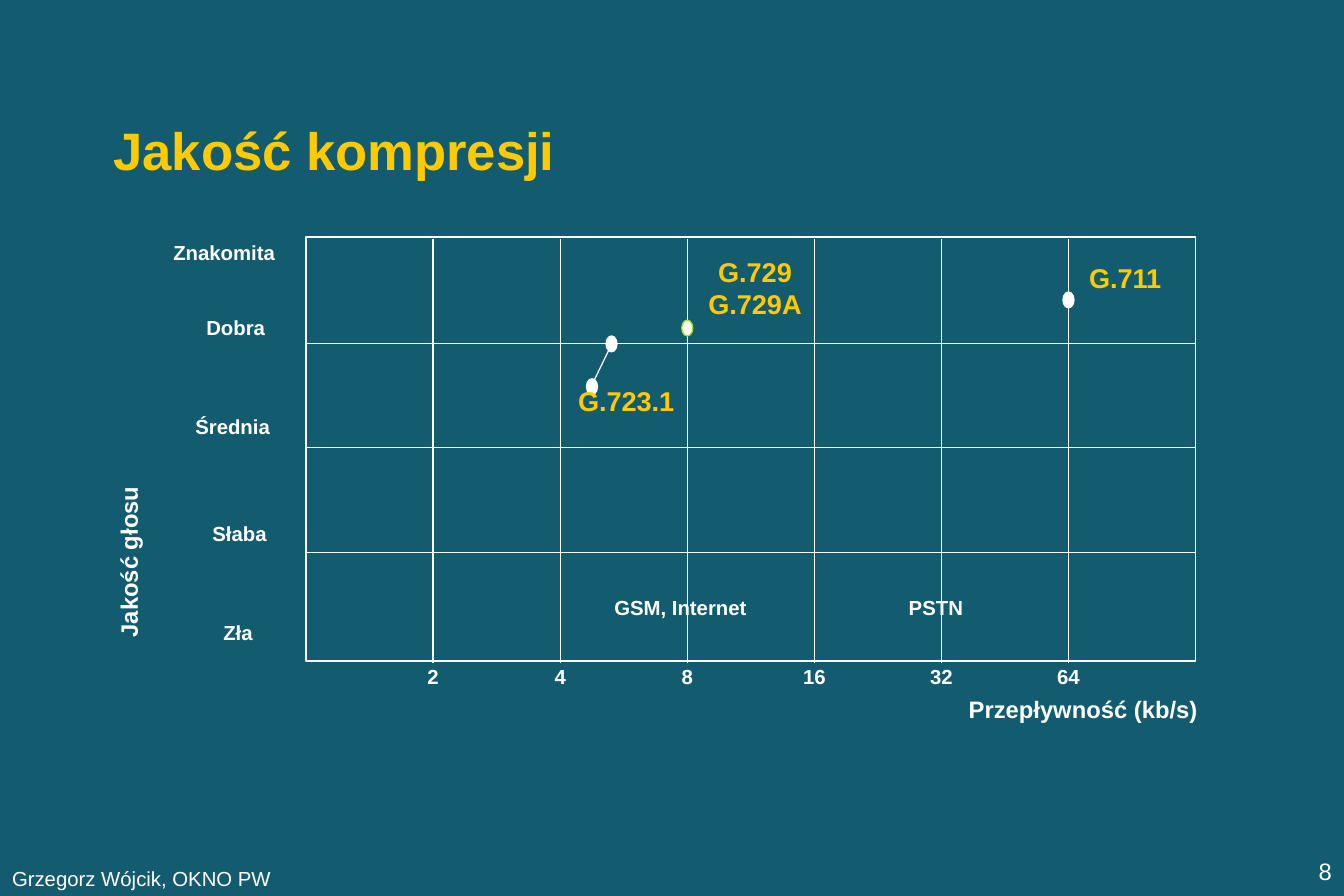
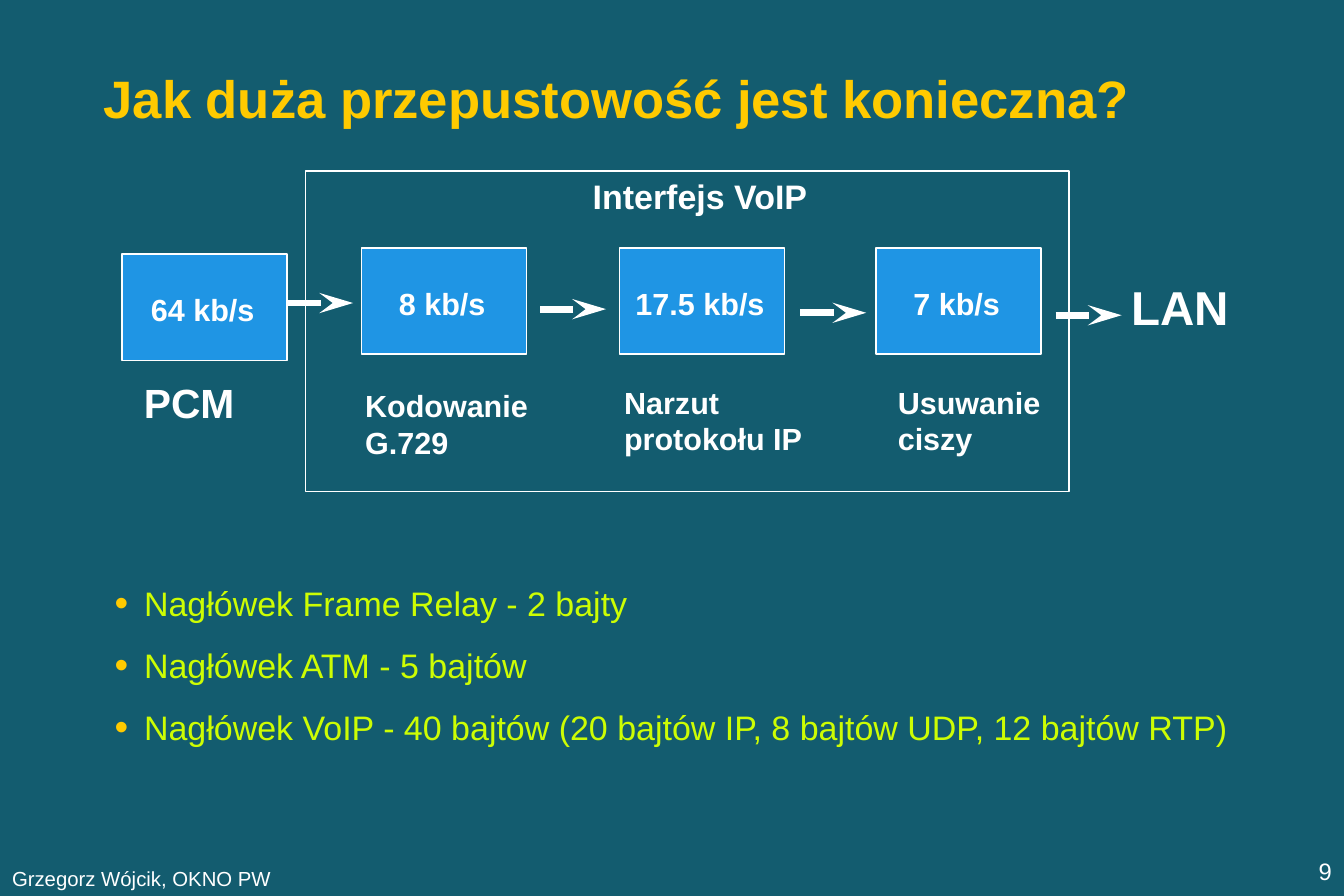
from lxml.etree import SubElement
from pptx import Presentation
from pptx.dml.color import RGBColor
from pptx.enum.shapes import MSO_CONNECTOR, MSO_SHAPE
from pptx.enum.text import MSO_ANCHOR, MSO_AUTO_SIZE, PP_ALIGN
from pptx.oxml.ns import qn
from pptx.util import Inches, Pt

COLUMNS, ROWS = 110, 73.33
CELL = Inches(0.1)
FONT = "Arial"
COLORS = {
    "background": "135C6F",
    "white": "FFFFFF",
    "yellow": "FFCA00",
    "lime": "CDFD03",
    "green": "ABDE2A",
    "blue": "1F95E4",
}
AUTHOR = "Grzegorz Wójcik, OKNO PW"


def cells(*lengths):
    """Turn grid columns or rows into slide units."""
    return [round(length * CELL) for length in lengths]


def rgb(name):
    return RGBColor.from_string(COLORS[name])


class Deck:
    """Holds the shared style and the current slide; boxes are (left, top, width, height) in cells."""

    def __init__(self):
        self.presentation = Presentation()
        self.presentation.slide_width, self.presentation.slide_height = cells(COLUMNS, ROWS)
        self.slide = None

    def new_slide(self, number, title, title_box):
        self.slide = self.presentation.slides.add_slide(self.presentation.slide_layouts[6])
        fill = self.slide.background.fill
        fill.solid()
        fill.fore_color.rgb = rgb("background")
        self.text(AUTHOR, (0, 70.4, 23.2, 2.9), bold=False, anchor=MSO_ANCHOR.MIDDLE)
        self.text(str(number), (90, 69.6, 20, 3.4), 14, bold=False, align=PP_ALIGN.RIGHT,
                  anchor=MSO_ANCHOR.MIDDLE, wrap=True)
        heading = self.text(title, title_box, 31, "yellow", anchor=MSO_ANCHOR.MIDDLE)
        heading.text_frame.paragraphs[0].line_spacing = 0.95

    def format_text(self, shape, size, color, bold, align):
        for paragraph in shape.text_frame.paragraphs:
            paragraph.alignment = align
            for run in paragraph.runs:
                run.font.name = FONT
                run.font.size = Pt(size)
                run.font.bold = bold
                run.font.color.rgb = rgb(color)

    def text(self, content, box, size=12, color="white", bold=True, align=PP_ALIGN.LEFT,
             anchor=MSO_ANCHOR.TOP, wrap=False):
        shape = self.slide.shapes.add_textbox(*cells(*box))
        frame = shape.text_frame
        frame.text = content
        frame.word_wrap = wrap
        frame.vertical_anchor = anchor
        frame.auto_size = MSO_AUTO_SIZE.NONE
        self.format_text(shape, size, color, bold, align)
        return shape

    def shape(self, kind, box, fill=None, line="white", weight=0.75):
        shape = self.slide.shapes.add_shape(kind, *cells(*box))
        shape.shadow.inherit = False
        if fill:
            shape.fill.solid()
            shape.fill.fore_color.rgb = rgb(fill)
        else:
            shape.fill.background()
        shape.line.color.rgb = rgb(line)
        shape.line.width = Pt(weight)
        return shape

    def labelled_box(self, content, box, size):
        shape = self.shape(MSO_SHAPE.RECTANGLE, box, "blue", weight=1)
        frame = shape.text_frame
        frame.text = content
        frame.word_wrap = False
        frame.vertical_anchor = MSO_ANCHOR.MIDDLE
        frame.margin_top, frame.margin_right = cells(0.9, 1.3)
        self.format_text(shape, size, "white", True, PP_ALIGN.CENTER)

    def line(self, left, top, right, bottom, weight=0.75, arrow=False):
        connector = self.slide.shapes.add_connector(
            MSO_CONNECTOR.STRAIGHT, *cells(left, top, right, bottom))
        connector.line.color.rgb = rgb("white")
        connector.line.width = Pt(weight)
        if arrow:
            SubElement(connector.line._get_or_add_ln(), qn("a:tailEnd"),
                       type="stealth", w="med", len="lg")
        SubElement(connector._element.spPr, qn("a:effectLst"))

    def bullets(self, items, box, size):
        shape = self.text("\n".join(items), box, size, "lime", bold=False,
                          anchor=MSO_ANCHOR.MIDDLE, wrap=True)
        for index, paragraph in enumerate(shape.text_frame.paragraphs):
            properties = paragraph._p.get_or_add_pPr()
            indent = cells(2.4)[0]
            properties.set("marL", str(indent))
            properties.set("indent", str(-indent))
            bullet_color = SubElement(properties, qn("a:buClr"))
            SubElement(bullet_color, qn("a:srgbClr"), val=COLORS["yellow"])
            SubElement(properties, qn("a:buSzPct"), val="115000")
            SubElement(properties, qn("a:buFont"), typeface=FONT)
            SubElement(properties, qn("a:buChar"), char="•")
            if index:
                paragraph.space_before = Pt(12.5)


def add_quality_slide(deck):
    deck.new_slide(8, "Jakość kompresji", (8.3, 9.5, 38.2, 5.9))

    left, top, width, height = plot = (25.05, 19.4, 72.8, 34.7)
    deck.shape(MSO_SHAPE.RECTANGLE, plot)
    rates = ["2", "4", "8", "16", "32", "64"]
    step = width / (len(rates) + 1)
    for index, rate in enumerate(rates, 1):
        x = left + index * step
        deck.line(x, top + 0.2, x, top + height + 0.2)
        label_width = 2 + 0.9 * len(rate)
        deck.text(rate, (x - label_width / 2, 53.9, label_width, 3), align=PP_ALIGN.CENTER)
    for index in range(3):
        y = 28.1 + 8.55 * index
        deck.line(left, y, left + width, y)

    for grade, x, y, label_width in [
        ("Znakomita", 13.2, 19.2, 10.3),
        ("Dobra", 15.9, 25.3, 6.8),
        ("Średnia", 15, 33.4, 8.1),
        ("Słaba", 16.4, 42.2, 6.4),
        ("Zła", 17.3, 50.3, 4.4),
    ]:
        deck.text(grade, (x, y, label_width, 3))
    deck.text("Jakość głosu", (3.4, 44.3, 14.3, 3.4), 14).rotation = 270
    deck.text("Przepływność (kb/s)", (78.3, 56.4, 20.7, 3.4), 14)

    deck.text("GSM, Internet", (49.3, 48.2, 12.8, 3), align=PP_ALIGN.CENTER)
    deck.text("PSTN", (73.4, 48.2, 6.4, 3), align=PP_ALIGN.CENTER)

    for x, y, outline in [
        (87, 23.9, "white"), (48, 31, "white"), (55.8, 26.2, "green"), (49.6, 27.5, "white"),
    ]:
        deck.shape(MSO_SHAPE.OVAL, (x, y, 0.9, 1.3), "white", outline)
    deck.line(48.4, 31.6, 50.1, 28.1)
    for codec, box in [
        ("G.711", (88.1, 20.9, 8, 3.7)),
        ("G.723.1", (46.3, 31, 9.9, 3.7)),
        ("G.729\nG.729A", (57, 20.4, 9.6, 6.4)),
    ]:
        deck.text(codec, box, 16, "yellow", align=PP_ALIGN.CENTER)


def add_bandwidth_slide(deck):
    deck.new_slide(9, "Jak duża przepustowość jest konieczna?", (7.5, 5.3, 86, 5.9))

    deck.shape(MSO_SHAPE.RECTANGLE, (25, 14, 62.5, 26.2))
    deck.text("Interfejs VoIP", (47.5, 13.9, 19.6, 4.2), 20, align=PP_ALIGN.CENTER)

    for rate, x, y in [
        ("64 kb/s", 10, 20.8), ("8 kb/s", 29.6, 20.3),
        ("17.5 kb/s", 50.7, 20.3), ("7 kb/s", 71.7, 20.3),
    ]:
        deck.labelled_box(rate, (x, y, 13.5, 8.7), 18)
    for caption, box, size in [
        ("PCM", (10.8, 30.4, 9.4, 5), 24),
        ("Kodowanie\nG.729", (28.9, 31.2, 15.4, 7), 18),
        ("Narzut\nprotokołu IP", (50.1, 30.9, 16.6, 7), 18),
        ("Usuwanie\nciszy", (72.5, 30.9, 13.7, 7), 18),
        ("LAN", (91.6, 22.3, 9.9, 5.6), 28),
    ]:
        deck.text(caption, box, size)
    for x, y in [(23.5, 24.8), (44.2, 25.3), (65.5, 25.6), (86.4, 25.8)]:
        deck.line(x, y, x + 5.4, y, weight=4, arrow=True)

    deck.bullets([
        "Nagłówek Frame Relay - 2 bajty",
        "Nagłówek ATM - 5 bajtów",
        "Nagłówek VoIP - 40 bajtów (20 bajtów IP, 8 bajtów UDP, 12 bajtów RTP)",
    ], (8.4, 47.2, 95.5, 14.5), 20)


def main():
    deck = Deck()
    add_quality_slide(deck)
    add_bandwidth_slide(deck)
    deck.presentation.save("out.pptx")


if __name__ == "__main__":
    main()
